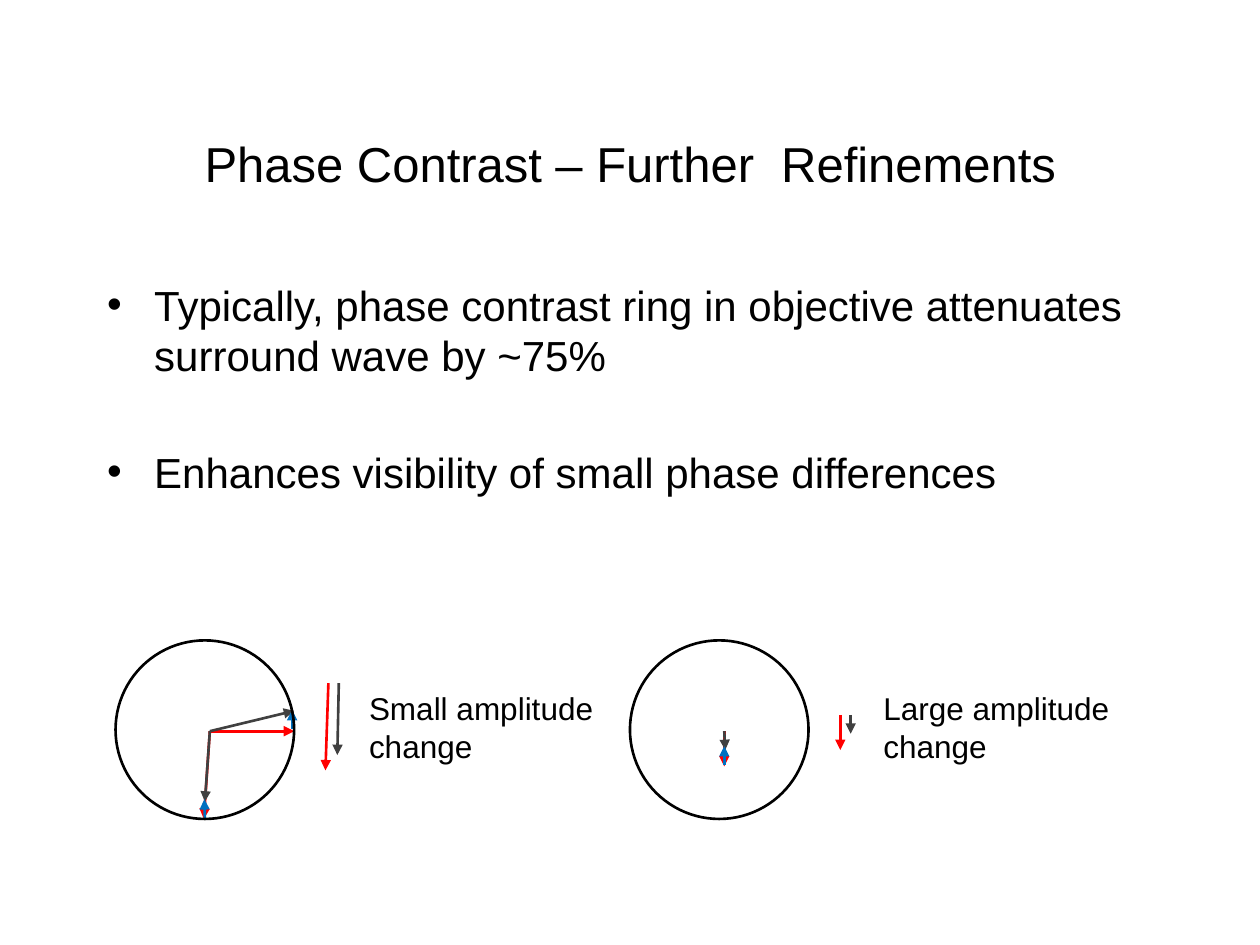
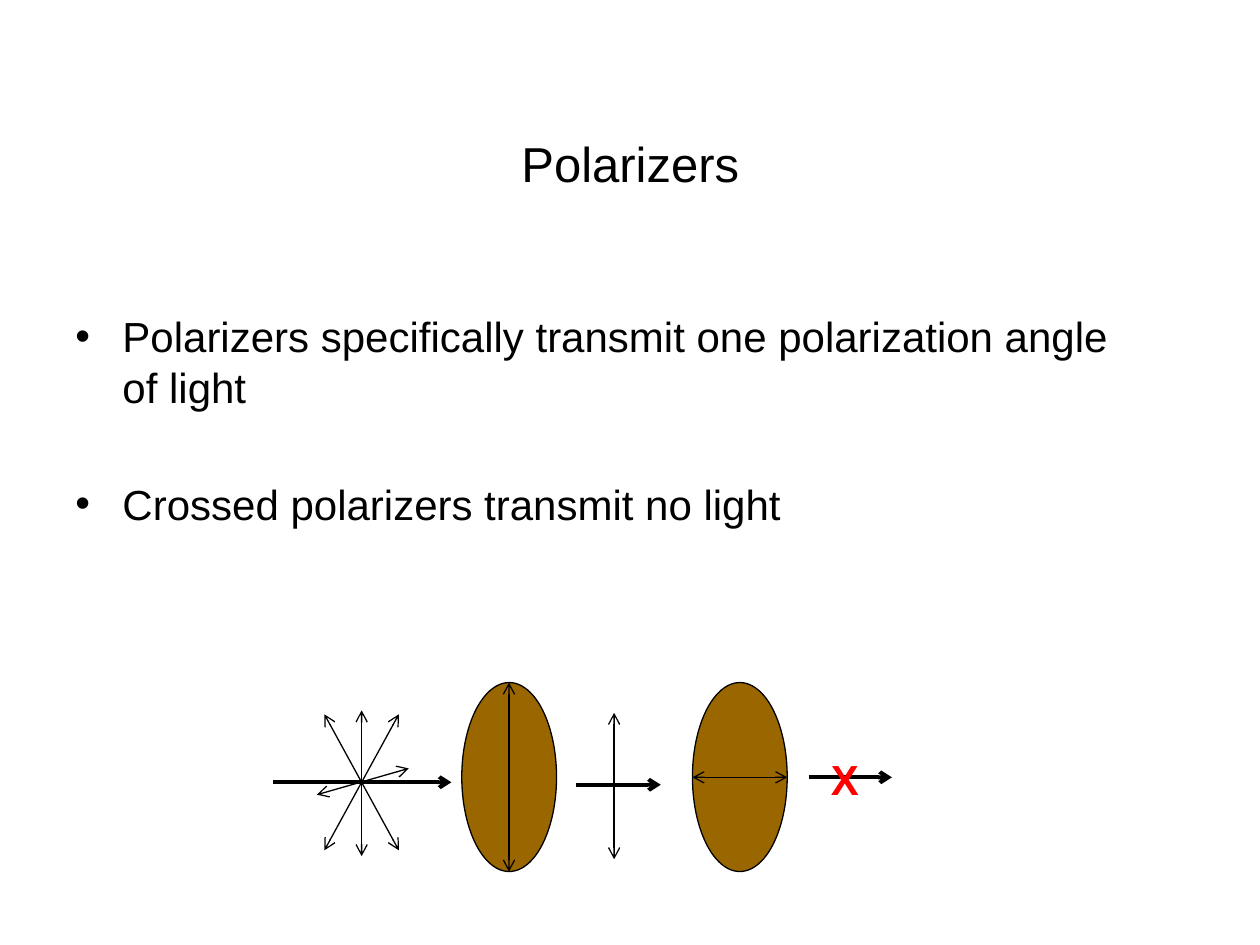
from lxml import etree
from pptx import Presentation
from pptx import util as u
from pptx.dml.color import RGBColor
from pptx.enum import shapes, text
from pptx.oxml.ns import qn

FONT = "Arial"
COLORS = {
    "ink": "000000",
    "surround": "FF0000",
    "particle": "404040",
    "diffracted": "0070C0",
    "polarizer": "996600",
    "blocked": "FF0000",
}
TITLE_BOX = (1.91, 1.7, 21.59, 3.18)


def rgb(name):
    return RGBColor.from_string(COLORS[name])


def write(p, content, size=18, color="ink", bold=False, align=None):
    """Put formatted text in a paragraph."""
    r = p.add_run()
    r.text = content
    r.font.name, r.font.size, r.font.bold = FONT, u.Pt(size), bold
    r.font.color.rgb = rgb(color)
    if align is not None:
        p.alignment = align


def add_box(s, x, y, w, h, wrap=True):
    tf = s.shapes.add_textbox(u.Cm(x), u.Cm(y), u.Cm(w), u.Cm(h)).text_frame
    tf.word_wrap = wrap
    return tf


def add_line(s, origin, start, end, color="ink", width=0.75,
             head=None, tail="arrow"):
    """Draw an arrow whose points are relative to origin."""
    ox, oy = origin
    c = s.shapes.add_connector(
        shapes.MSO_CONNECTOR.STRAIGHT,
        u.Cm(ox + start[0]), u.Cm(oy + start[1]),
        u.Cm(ox + end[0]), u.Cm(oy + end[1]))
    c.line.color.rgb = rgb(color)
    c.line.width = u.Pt(width)
    ln = c.line._get_or_add_ln()
    for tag, kind in (("a:headEnd", head), ("a:tailEnd", tail)):
        if kind:
            etree.SubElement(ln, qn(tag), type=kind)
    etree.SubElement(c._element.spPr, qn("a:effectLst"))


def add_ellipse(s, x, y, w, h, fill=None, width=0.75):
    sp = s.shapes.add_shape(shapes.MSO_SHAPE.OVAL,
                            u.Cm(x), u.Cm(y), u.Cm(w), u.Cm(h))
    sp.shadow.inherit = False
    if fill:
        sp.fill.solid()
        sp.fill.fore_color.rgb = rgb(fill)
    else:
        sp.fill.background()
    sp.line.color.rgb = rgb("ink")
    sp.line.width = u.Pt(width)


def add_titled_slide(prs, title):
    s = prs.slides.add_slide(prs.slide_layouts[5])
    sp = s.shapes.title
    sp.left, sp.top, sp.width, sp.height = map(u.Cm, TITLE_BOX)
    tf = sp.text_frame
    tf.auto_size = text.MSO_AUTO_SIZE.NONE
    tf.vertical_anchor = text.MSO_ANCHOR.MIDDLE
    write(tf.paragraphs[0], title, size=28, align=text.PP_ALIGN.CENTER)
    return s


def add_bullets(s, box, items):
    tf = add_box(s, *box)
    for i, item in enumerate(items):
        p = tf.add_paragraph() if i else tf.paragraphs[0]
        pPr = p._p.get_or_add_pPr()
        pPr.set("marL", str(u.Cm(0.95)))
        pPr.set("indent", str(u.Cm(-0.95)))
        if i:
            p.space_before = u.Pt(38)
        etree.SubElement(pPr, qn("a:buFont"), typeface=FONT)
        etree.SubElement(pPr, qn("a:buChar"), char="•")
        write(p, item, size=24)


def add_phasor_panel(s, origin, arrows, label):
    """Circle with its wave vectors, amplitude arrows and label."""
    x, y = origin
    for color, start, end in arrows:
        add_line(s, origin, start, end, color, width=1.5, tail="triangle")
    add_ellipse(s, x, y, 3.6, 3.6, width=1.5)
    tf = add_box(s, x + 4.86, y + 0.86, 5.28, 1.8)
    write(tf.paragraphs[0], label)


def add_polarizer_diagram(s, origin):
    x, y = origin
    both = {"head": "arrow"}

    # Unpolarized light: every angle of vibration
    for start, end in (((1.04, 0.64), (2.54, 3.38)),
                       ((1.79, 0.56), (1.79, 3.5)),
                       ((2.54, 0.64), (1.04, 3.38)),
                       ((0.89, 2.26), (2.74, 1.73))):
        add_line(s, origin, start, end, **both)

    # Crossed polarizers with their axes, and the wave between them
    for left in (3.81, 8.46):
        add_ellipse(s, x + left, y, 1.91, 3.81, fill="polarizer")
    for start, end in (((4.76, 0), (4.76, 3.81)),
                       ((6.88, 0.61), (6.88, 3.56)),
                       ((8.46, 1.91), (10.37, 1.91))):
        add_line(s, origin, start, end, **both)

    # Direction of travel
    for left, right, level in ((0, 3.6, 2.01), (6.12, 7.82, 2.06),
                               (10.8, 12.48, 1.91)):
        add_line(s, origin, (left, level), (right, level), width=2.25)

    # Blocked beam
    tf = add_box(s, x + 11, y + 1.3, 1.09, 1.27, wrap=False)
    write(tf.paragraphs[0], "X", size=24, color="blocked", bold=True)


def phase_contrast_slide(prs):
    s = add_titled_slide(prs, "Phase Contrast – Further  Refinements")
    add_bullets(s, (1.91, 5.5, 21.59, 2.96), [
        "Typically, phase contrast ring in objective attenuates "
        "surround wave by ~75%",
        "Enhances visibility of small phase differences"])

    center = (1.9, 1.83)
    add_phasor_panel(s, (2.33, 12.91), [
        ("surround", center, (3.6, 1.83)),
        ("particle", center, (3.6, 1.42)),
        ("diffracted", (3.56, 1.78), (3.56, 1.4)),
        ("surround", center, (1.78, 3.6)),
        ("particle", center, (1.8, 3.25)),
        ("diffracted", (1.8, 3.58), (1.79, 3.2)),
        ("particle", (4.5, 0.86), (4.47, 2.31)),
        ("surround", (4.29, 0.86), (4.23, 2.62)),
    ], "Small amplitude change")
    add_phasor_panel(s, (12.7, 12.91), [
        ("surround", center, (1.9, 2.54)),
        ("particle", center, (1.92, 2.21)),
        ("diffracted", (1.9, 2.51), (1.9, 2.13)),
        ("surround", (4.24, 1.5), (4.24, 2.21)),
        ("particle", (4.45, 1.5), (4.45, 1.88)),
    ], "Large amplitude change")


def polarizers_slide(prs):
    s = add_titled_slide(prs, "Polarizers")
    add_bullets(s, (1.27, 6.14, 22.23, 11.43), [
        "Polarizers specifically transmit one polarization angle of light",
        "Crossed polarizers transmit no light"])
    add_polarizer_diagram(s, (5.5, 13.76))


def main():
    prs = Presentation()
    prs.slide_width, prs.slide_height = u.Cm(25.4), u.Cm(19.05)
    phase_contrast_slide(prs)
    polarizers_slide(prs)
    prs.save("out.pptx")


if __name__ == "__main__":
    main()
